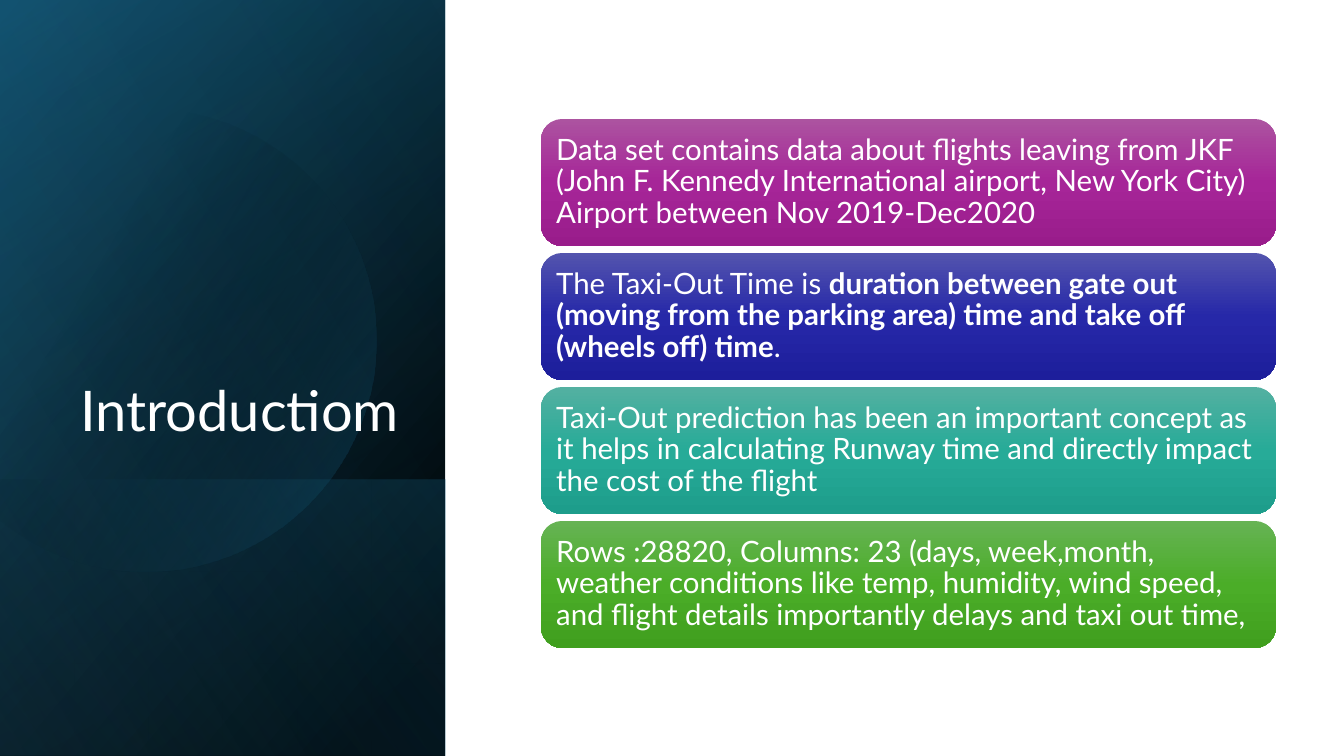
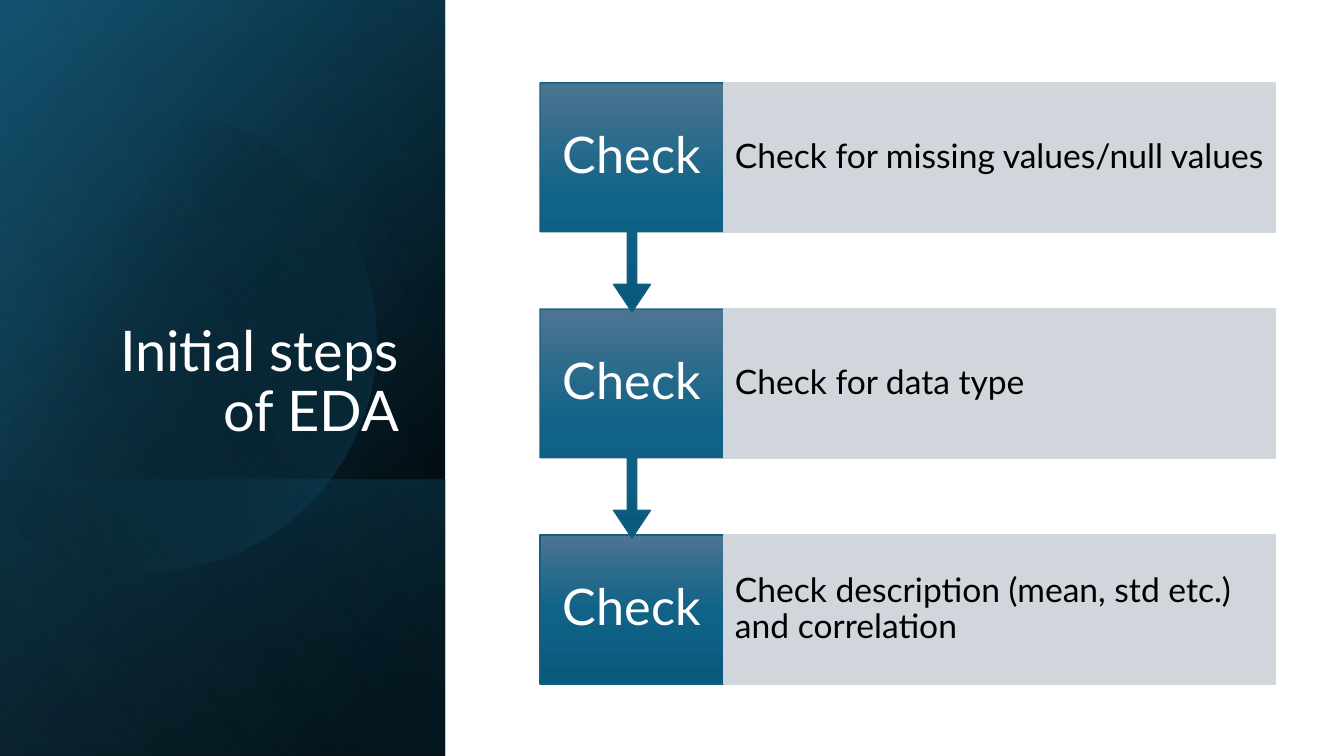
import math

import pptx
import pptx.dml.color
import pptx.enum.shapes
import pptx.enum.text
import pptx.oxml.ns
import pptx.util
from lxml import etree

SHAPE = pptx.enum.shapes.MSO_SHAPE
ALIGN = pptx.enum.text.PP_ALIGN
ANCHOR = pptx.enum.text.MSO_ANCHOR
qn = pptx.oxml.ns.qn

EMU_PER_PX = 914400 / 100.8
SLIDE_W, SLIDE_H = 1344, 756


class Theme:
    font = "Lato"
    white, black = "FFFFFF", "000000"
    grey, outline = "D1D6DC", "156082"
    title_size, step_size, detail_size, card_size = 40, 36, 24, 21
    line_spacing = 0.9
    purple = ("AC53A0", "A62598", "991C8B")
    indigo = ("5354AE", "2628A8", "1D1E9B")
    teal = ("53B0A1", "27AB98", "1D9D8B")
    green = ("66B354", "4BAD28", "409F1E")
    step = ("4C7591", "106287", "09597D")


# Gradient stops are (position %, colour, opacity %)
PANEL_W = 445
PANEL_FLOOR = 480  # top of the darker lower band
BANDS_BELOW = [
    (0, [(8, "000000", 100), (100, "104862", 100)], 50),
    (0, [(0, "000000", 0), (99, "156082", 46)], 30),
    (PANEL_FLOOR, [(2, "156082", 29), (100, "000000", 30)], 130),
]
BAND_ABOVE = (0, [(0, "000000", 0), (99, "46B1E1", 11)], 120)
DISC = dict(cx=145, cy=340, radius=231,
            stops=[(29, "000000", 0), (100, "156082", 43)], angle=30)
TITLE_BOX = (65, 185, 344, 264)

# Cards hold (text, bold) runs
INTRO_TITLE = "Introductiom"
INTRO_CARDS = [
    (Theme.purple, [("Data set contains data about flights leaving from JKF (John F. Kennedy "
                     "International airport, New York City) Airport between Nov 2019-Dec2020", False)]),
    (Theme.indigo, [("The Taxi-Out Time is ", False),
                    ("duration between gate out (moving from the parking area) time and "
                     "take off (wheels off) time", True),
                    (".", False)]),
    (Theme.teal, [("Taxi-Out prediction has been an important concept as it helps in calculating "
                   "Runway time and directly impact the cost of the flight", False)]),
    (Theme.green, [("Rows :28820, Columns: 23 (days, week,month, weather conditions like temp, "
                    "humidity, wind speed, and flight details importantly delays and taxi out time,", False)]),
]
CARD_X, CARD_Y, CARD_W, CARD_H, CARD_GAP = 541, 119, 735, 127, 7

EDA_TITLE = "Initial steps of EDA"
EDA_STEPS = [
    ("Check", "Check for missing values/null values"),
    ("Check", "Check for data type"),
    ("Check", "Check description (mean, std etc.) and correlation"),
]
STEP_X, STEP_Y, STEP_W, STEP_H, STEP_PITCH = 540, 83, 184, 149, 226
CALLOUT_H = 229
CALLOUT_ADJ = (0.05, 0.1, 0.15, 0.65)
DETAIL_W = 551


def px(value):
    return pptx.util.Emu(round(value * EMU_PER_PX))


def rgb(value):
    return pptx.dml.color.RGBColor.from_string(value)


def fill_gradient(s, stops, angle):
    s.fill.gradient()
    grad = s.element.spPr.find(qn("a:gradFill"))
    stop_list = grad.find(qn("a:gsLst"))
    for old in list(stop_list):
        stop_list.remove(old)
    for position, color, opacity in stops:
        stop = etree.SubElement(stop_list, qn("a:gs"), pos=str(position * 1000))
        clr = etree.SubElement(stop, qn("a:srgbClr"), val=color)
        if opacity < 100:
            etree.SubElement(clr, qn("a:alpha"), val=str(opacity * 1000))
    grad.find(qn("a:lin")).set("ang", str(angle * 60000))


def fill_shaded(s, colors):
    """Top-to-bottom shading through three colours."""
    fill_gradient(s, [(i * 50, c, 100) for i, c in enumerate(colors)], 90)


def add_shape(slide, kind, x, y, w, h, line=None):
    s = slide.shapes.add_shape(kind, px(x), px(y), px(w), px(h))
    s.shadow.inherit = False
    if line:
        s.line.color.rgb = rgb(line)
        s.line.width = pptx.util.Pt(1)
    else:
        s.line.fill.background()
    return s


def set_text(s, runs, size, color, align=ALIGN.LEFT, anchor=ANCHOR.MIDDLE, insets=(10, 5)):
    """Write (text, bold) runs as one paragraph; insets are horizontal, vertical."""
    tf = s.text_frame
    tf.word_wrap = True
    tf.vertical_anchor = anchor
    tf.margin_left = tf.margin_right = px(insets[0])
    tf.margin_top = tf.margin_bottom = px(insets[1])
    p = tf.paragraphs[0]
    p.alignment = align
    p.line_spacing = Theme.line_spacing
    p.font.name = Theme.font
    p.font.size = pptx.util.Pt(size)
    p.font.color.rgb = rgb(color)
    for text, bold in runs:
        r = p.add_run()
        r.text = text
        if bold:
            r.font.bold = True


def add_band(slide, top, stops, angle):
    """Panel band from top to the slide's foot, turned a quarter and mirrored."""
    w, h = SLIDE_H - top, PANEL_W
    s = add_shape(slide, SHAPE.RECTANGLE, (PANEL_W - w) / 2, top + (w - h) / 2, w, h)
    s.rotation = 90
    s.element.spPr.find(qn("a:xfrm")).set("flipH", "1")
    fill_gradient(s, stops, angle)


def add_disc(slide, cx, cy, radius, stops, angle):
    """Disc cut off by the left edge of the slide."""
    reach = math.acos(-cx / radius)
    steps = 120
    turns = [reach * (2 * i / steps - 1) for i in range(steps + 1)]
    points = [(px(cx + radius * math.cos(t)), px(cy + radius * math.sin(t))) for t in turns]
    builder = slide.shapes.build_freeform(*points[0], scale=1.0)
    builder.add_line_segments(points[1:], close=True)
    s = builder.convert_to_shape()
    s.shadow.inherit = False
    s.line.fill.background()
    fill_gradient(s, stops, angle)


def add_titled_slide(prs, title):
    slide = prs.slides.add_slide(prs.slide_layouts[6])
    for band in BANDS_BELOW:
        add_band(slide, *band)
    add_disc(slide, **DISC)
    add_band(slide, *BAND_ABOVE)
    box = slide.shapes.add_textbox(*map(px, TITLE_BOX))
    set_text(box, [(title, False)], Theme.title_size, Theme.white, ALIGN.RIGHT, ANCHOR.BOTTOM)
    return slide


def build_intro(prs):
    slide = add_titled_slide(prs, INTRO_TITLE)
    for i, (colors, runs) in enumerate(INTRO_CARDS):
        y = CARD_Y + i * (CARD_H + CARD_GAP)
        s = add_shape(slide, SHAPE.ROUNDED_RECTANGLE, CARD_X, y, CARD_W, CARD_H)
        fill_shaded(s, colors)
        set_text(s, runs, Theme.card_size, Theme.white, insets=(9, 9))


def build_steps(prs):
    slide = add_titled_slide(prs, EDA_TITLE)
    # Last step first, so that each arrow tip lies over the step below it
    for i, (label, detail) in reversed(list(enumerate(EDA_STEPS))):
        y = STEP_Y + i * STEP_PITCH
        is_last = i == len(EDA_STEPS) - 1
        kind, height = (SHAPE.RECTANGLE, STEP_H) if is_last else (SHAPE.DOWN_ARROW_CALLOUT, CALLOUT_H)
        s = add_shape(slide, kind, STEP_X, y, STEP_W, height, Theme.outline)
        if not is_last:
            for k, value in enumerate(CALLOUT_ADJ):
                s.adjustments[k] = value
        fill_shaded(s, Theme.step)
        set_text(s, [(label, False)], Theme.step_size, Theme.white, ALIGN.CENTER, insets=(13, 28))

        s = add_shape(slide, SHAPE.RECTANGLE, STEP_X + STEP_W, y, DETAIL_W, STEP_H, Theme.grey)
        s.fill.solid()
        s.fill.fore_color.rgb = rgb(Theme.grey)
        set_text(s, [(detail, False)], Theme.detail_size, Theme.black, insets=(11, 33))


def main():
    prs = pptx.Presentation()
    prs.slide_width, prs.slide_height = px(SLIDE_W), px(SLIDE_H)
    build_intro(prs)
    build_steps(prs)
    prs.save("out.pptx")


if __name__ == "__main__":
    main()
